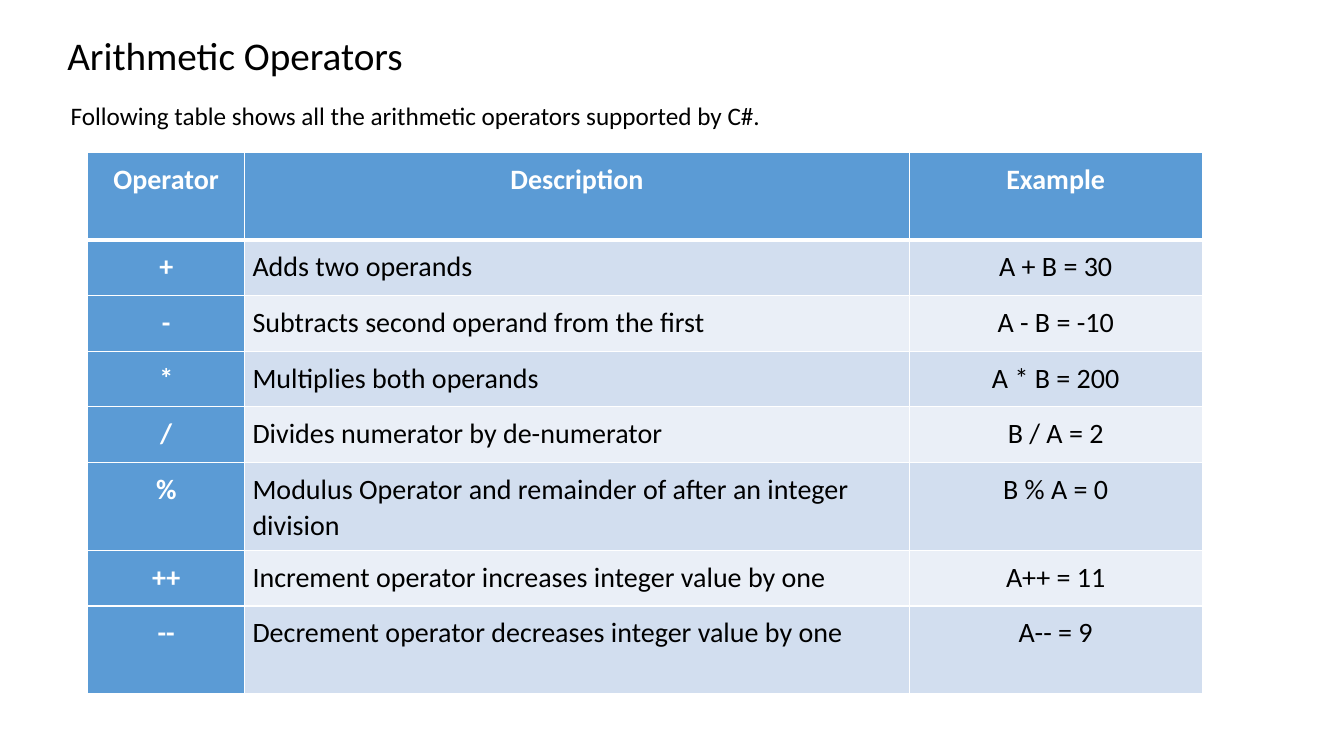
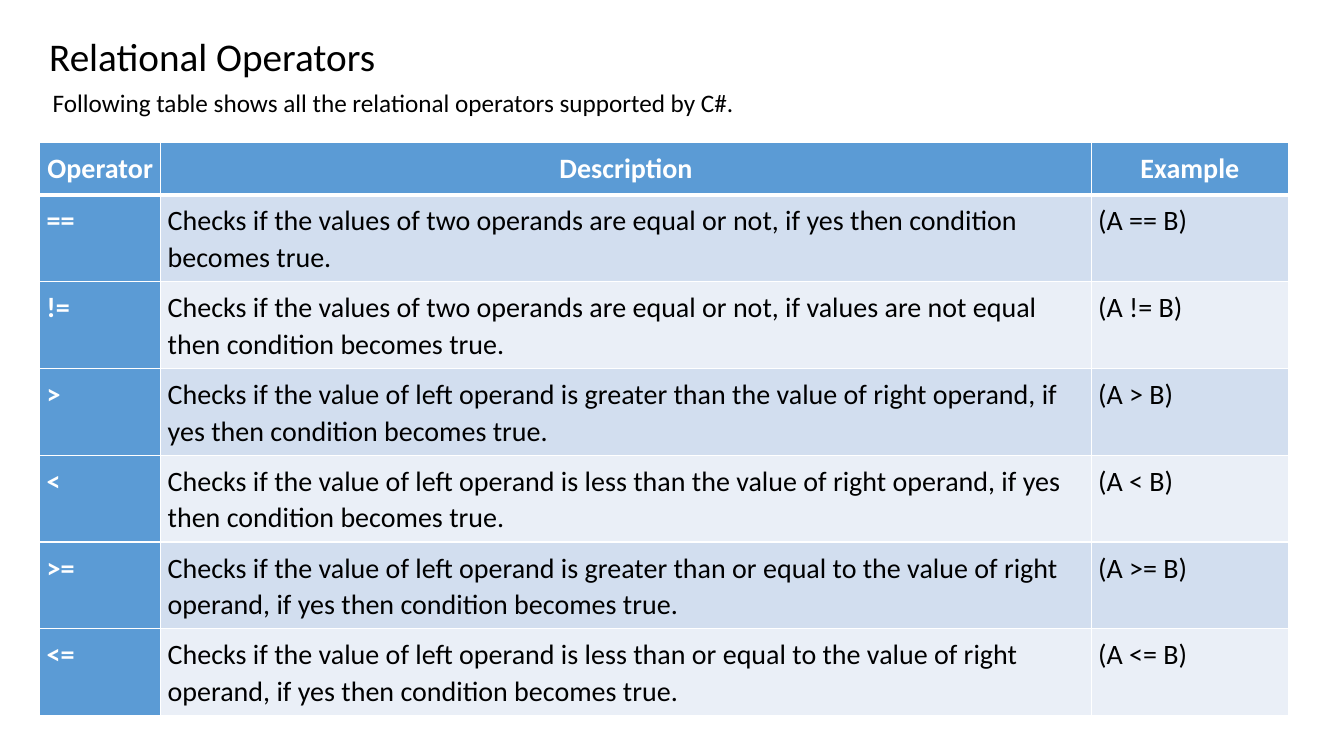
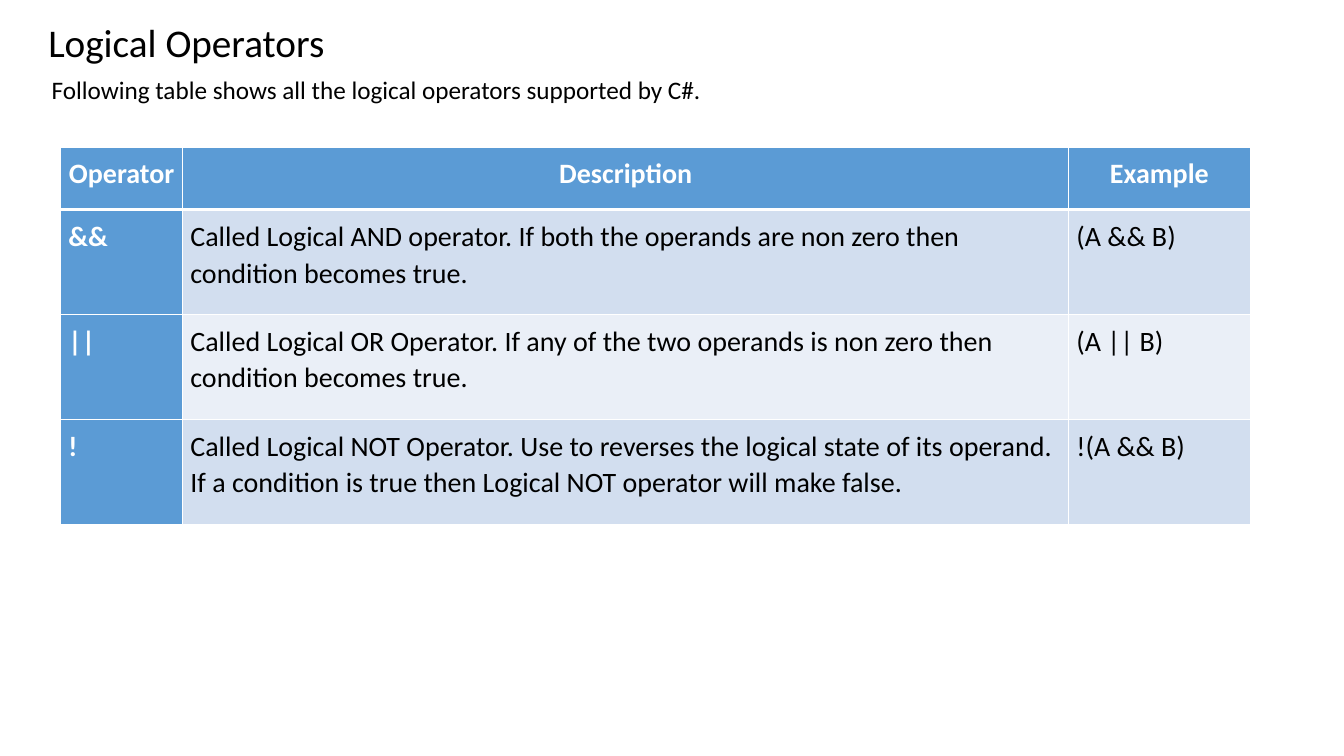
import pptx
import pptx.dml.color
import pptx.enum.text
import pptx.oxml
import pptx.oxml.ns
import pptx.util

Pt = pptx.util.Pt
RGBColor = pptx.dml.color.RGBColor
ALIGN = pptx.enum.text.PP_ALIGN

# Shared look
FONT = "Calibri"
BLACK = RGBColor(0x00, 0x00, 0x00)
WHITE = RGBColor(0xFF, 0xFF, 0xFF)
ACCENT = RGBColor(0x5B, 0x9B, 0xD5)
BANDS = (RGBColor(0xD2, 0xDE, 0xEF), RGBColor(0xEA, 0xEF, 0xF7))
HEADINGS = ("Operator", "Description", "Example")
LINE_SPACING = 1.07

# Content; all lengths in points
TOPICS = [
    {
        "title": "Arithmetic Operators",
        "intro": "Following table shows all the arithmetic operators supported by C#.",
        "heading_box": (41, 16.6, 798, 81.4),
        "heading_spacing": LINE_SPACING,
        "heading_gap": 8,
        "table_at": (62.6, 108.9),
        "columns": (112.3, 474.5, 209.5),
        "heights": (62.6, 39.7, 39.7, 39.7, 39.7, 63, 39.7, 62.6),
        "inset": 5.5,
        "side_align": ALIGN.CENTER,
        "operators": [
            ("+", "Adds two operands", "A + B = 30"),
            ("-", "Subtracts second operand from the first", "A - B = -10"),
            ("*", "Multiplies both operands", "A * B = 200"),
            ("/", "Divides numerator by de-numerator", "B / A = 2"),
            ("%", "Modulus Operator and remainder of after an integer division", "B % A = 0"),
            ("++", "Increment operator increases integer value by one", "A++ = 11"),
            ("--", "Decrement operator decreases integer value by one", "A-- = 9"),
        ],
    },
    {
        "title": "Relational Operators",
        "intro": "Following table shows all the relational operators supported by C#.",
        "heading_box": (28.1, 19.4, 712, 69),
        "heading_spacing": 1.0,
        "heading_gap": 0,
        "table_at": (28.4, 101.8),
        "columns": (86.4, 664.6, 141.1),
        "heights": (37.4,) + (62,) * 6,
        "inset": 5,
        "side_align": ALIGN.LEFT,
        "operators": [
            ("==", "Checks if the values of two operands are equal or not, "
                   "if yes then condition becomes true.", "(A == B)"),
            ("!=", "Checks if the values of two operands are equal or not, "
                   "if values are not equal then condition becomes true.", "(A != B)"),
            (">", "Checks if the value of left operand is greater than the value of "
                  "right operand, if yes then condition becomes true.", "(A > B)"),
            ("<", "Checks if the value of left operand is less than the value of "
                  "right operand, if yes then condition becomes true.", "(A < B)"),
            (">=", "Checks if the value of left operand is greater than or equal to the "
                   "value of right operand, if yes then condition becomes true.", "(A >= B)"),
            ("<=", "Checks if the value of left operand is less than or equal to the "
                   "value of right operand, if yes then condition becomes true.", "(A <= B)"),
        ],
    },
    {
        "title": "Logical Operators",
        "intro": "Following table shows all the logical operators supported by C#.",
        "heading_box": (27.4, 9.6, 700, 69),
        "heading_spacing": 1.0,
        "heading_gap": 0,
        "table_at": (43.4, 105.1),
        "columns": (87.1, 632.9, 129.6),
        "heights": (44.6,) + (74.9,) * 3,
        "inset": 5.5,
        "side_align": ALIGN.LEFT,
        "operators": [
            ("&&", "Called Logical AND operator. If both the operands are non zero "
                   "then condition becomes true.", "(A && B)"),
            ("||", "Called Logical OR Operator. If any of the two operands is non zero "
                   "then condition becomes true.", "(A || B)"),
            ("!", "Called Logical NOT Operator. Use to reverses the logical state of its "
                  "operand. If a condition is true then Logical NOT operator will make "
                  "false.", "!(A && B)"),
        ],
    },
]


def style(paragraph, size, color=BLACK, bold=False, align=ALIGN.LEFT,
          spacing=1.0, before=0, after=0):
    paragraph.alignment = align
    paragraph.line_spacing = spacing
    paragraph.space_before = Pt(before)
    paragraph.space_after = Pt(after)
    for run in paragraph.runs:
        run.font.name = FONT
        run.font.size = Pt(size)
        run.font.bold = bold
        run.font.color.rgb = color


def add_heading(slide, topic):
    box = slide.shapes.add_textbox(*map(Pt, topic["heading_box"]))
    frame = box.text_frame
    frame.word_wrap = True
    title, intro = frame.paragraphs[0], frame.add_paragraph()
    title.text, intro.text = topic["title"], topic["intro"]
    spacing = topic["heading_spacing"]
    style(title, 28, spacing=spacing, after=topic["heading_gap"])
    style(intro, 18, align=ALIGN.JUSTIFY, spacing=spacing, before=6, after=7.2)
    intro_props = intro._p.get_or_add_pPr()
    intro_props.set("marL", str(Pt(2.4)))
    intro_props.set("indent", "0")


def set_borders(cell, top, bottom):
    """White cell borders; they must come before the fill in the XML."""
    sides = (("lnL", 1), ("lnR", 1), ("lnT", top), ("lnB", bottom))
    for position, (side, width) in enumerate(sides):
        border = pptx.oxml.parse_xml(
            f'<a:{side} {pptx.oxml.ns.nsdecls("a")} w="{Pt(width)}">'
            f'<a:solidFill><a:srgbClr val="{WHITE}"/></a:solidFill></a:{side}>')
        cell._tc.get_or_add_tcPr().insert(position, border)


def add_operator_table(slide, topic):
    rows = [HEADINGS] + topic["operators"]
    widths, heights = topic["columns"], topic["heights"]
    table = slide.shapes.add_table(
        len(rows), len(widths), *map(Pt, topic["table_at"]),
        Pt(sum(widths)), Pt(sum(heights))).table
    table.first_col = True
    for column, width in zip(table.columns, widths):
        column.width = Pt(width)
    for row, height in zip(table.rows, heights):
        row.height = Pt(height)

    for r, texts in enumerate(rows):
        for c, text in enumerate(texts):
            cell = table.cell(r, c)
            cell.margin_left = cell.margin_right = Pt(topic["inset"])
            cell.margin_top = cell.margin_bottom = Pt(topic["inset"])
            accented = r == 0 or c == 0
            cell.fill.solid()
            cell.fill.fore_color.rgb = ACCENT if accented else BANDS[(r - 1) % 2]
            set_borders(cell, top=3 if r == 1 else 1, bottom=3 if r == 0 else 1)
            if r == 0:
                align = ALIGN.CENTER
            else:
                align = ALIGN.LEFT if c == 1 else topic["side_align"]
            cell.text_frame.text = text
            style(cell.text_frame.paragraphs[0], 20, WHITE if accented else BLACK,
                  accented, align, LINE_SPACING, after=15)


def main():
    deck = pptx.Presentation()
    deck.slide_width, deck.slide_height = Pt(960), Pt(540)
    for topic in TOPICS:
        slide = deck.slides.add_slide(deck.slide_layouts[6])
        add_heading(slide, topic)
        add_operator_table(slide, topic)
    deck.save("out.pptx")


if __name__ == "__main__":
    main()
